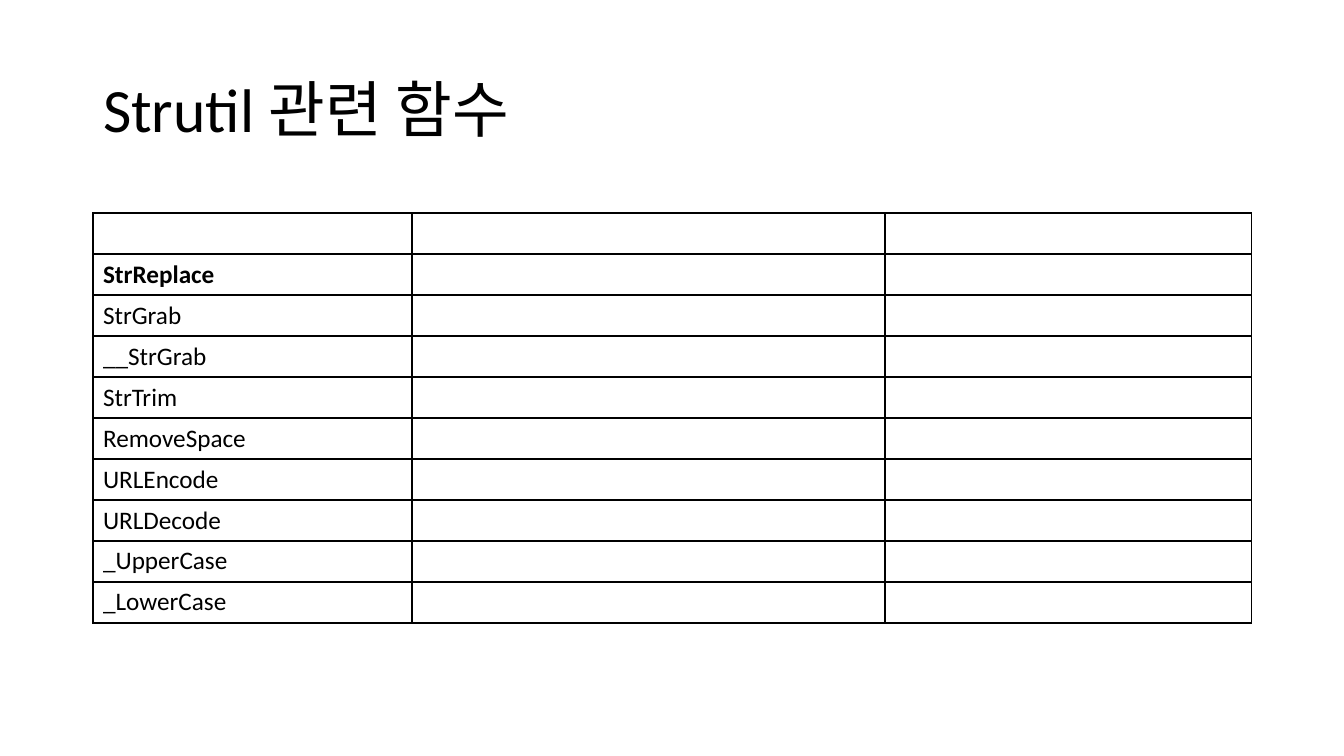
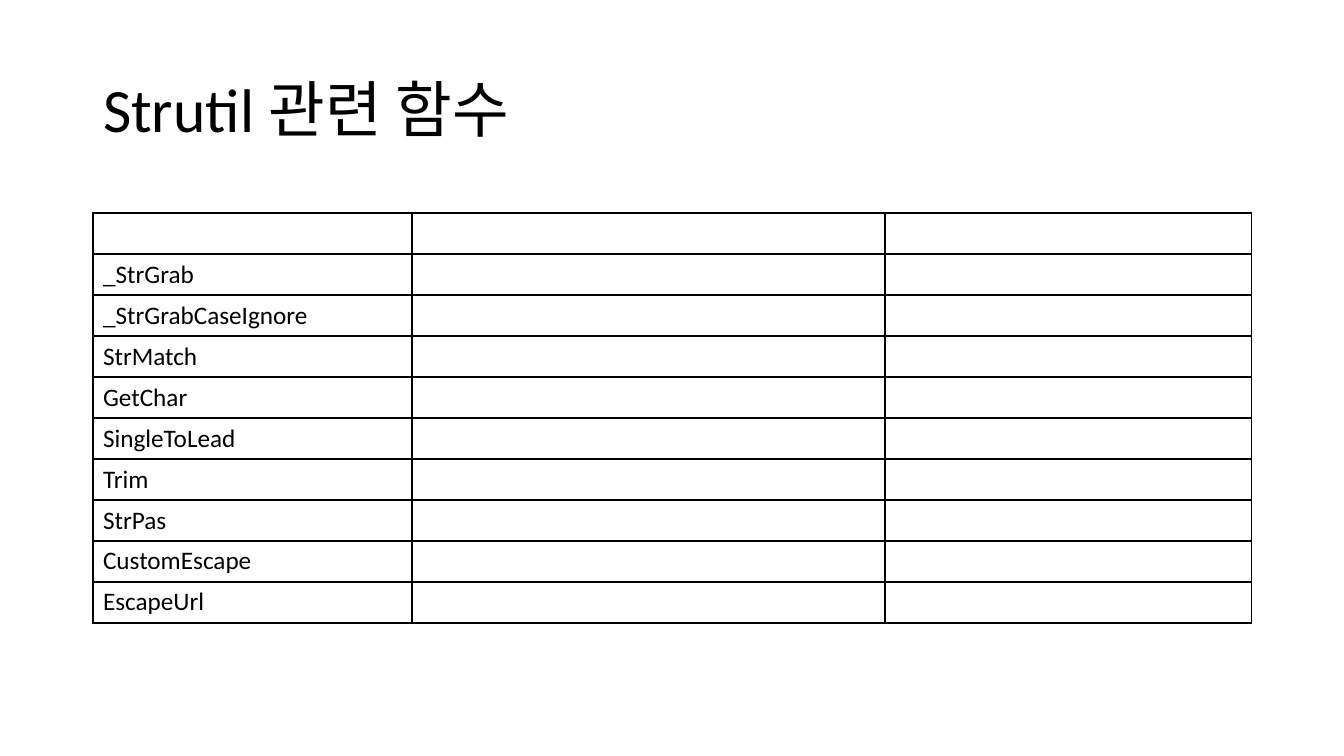
from lxml.etree import SubElement
from pptx import Presentation
from pptx.dml.color import RGBColor
from pptx.enum.text import MSO_ANCHOR, MSO_AUTO_SIZE, PP_ALIGN
from pptx.oxml.ns import qn
from pptx.util import Pt

SCALE = 914400 / 100.8
COLOR = {"text": "000000", "line": "000000"}
FONT = "Calibri"
TITLE = "Strutil 관련 함수"
COLS = (319, 473, 367)
ROW = 41
BOLD = {"StrReplace"}
PAGES = (
    ("StrReplace", "StrGrab", "__StrGrab", "StrTrim", "RemoveSpace",
     "URLEncode", "URLDecode", "_UpperCase", "_LowerCase"),
    ("_StrGrab", "_StrGrabCaseIgnore", "StrMatch", "GetChar", "SingleToLead",
     "Trim", "StrPas", "CustomEscape", "EscapeUrl"),
)


def px(size):
    """Turn pixels into EMU."""
    return round(size * SCALE)


class Deck:
    """Holds the shared style and the current slide."""

    def __init__(self):
        """Start an empty wide deck."""
        self.file = Presentation()
        self.file.slide_width = px(1344)
        self.file.slide_height = px(756)
        self.slide = None

    def page(self):
        """Add a title-only slide."""
        self.slide = self.file.slides.add_slide(self.file.slide_layouts[5])

    def style(self, par, size, bold=False):
        """Format the runs of a paragraph."""
        for run in par.runs:
            run.font.name = FONT
            run.font.size = Pt(size)
            run.font.bold = bold
            run.font.color.rgb = RGBColor.from_string(COLOR["text"])

    def title(self, text):
        """Fill and place the title."""
        shape = self.slide.shapes.title
        shape.left, shape.top = px(93), px(40)
        shape.width, shape.height = px(1159), px(146)
        frame = shape.text_frame
        frame.text = text
        frame.auto_size = MSO_AUTO_SIZE.NONE
        frame.vertical_anchor = MSO_ANCHOR.MIDDLE
        par = frame.paragraphs[0]
        par.alignment = PP_ALIGN.LEFT
        par.line_spacing = 0.9
        self.style(par, 44)

    def border(self, cell):
        """Draw thin lines round a cell."""
        props = cell._tc.get_or_add_tcPr()
        for side in ("lnL", "lnR", "lnT", "lnB"):
            line = SubElement(props, qn(f"a:{side}"), w=str(Pt(1)))
            fill = SubElement(line, qn("a:solidFill"))
            SubElement(fill, qn("a:srgbClr"), val=COLOR["line"])

    def table(self, names):
        """Add a grid with a blank head row and names in the first column."""
        count = len(names) + 1
        grid = self.slide.shapes.add_table(
            count, len(COLS), px(93), px(213), px(sum(COLS)), px(ROW * count)
        ).table
        grid.first_row = grid.horz_banding = False
        for col, width in zip(grid.columns, COLS):
            col.width = px(width)
        for row in grid.rows:
            row.height = px(ROW)
        for cell in grid.iter_cells():
            self.border(cell)
            cell.fill.background()
        for row, name in enumerate(names, 1):
            frame = grid.cell(row, 0).text_frame
            frame.text = name
            self.style(frame.paragraphs[0], 18, name in BOLD)


deck = Deck()
for names in PAGES:
    deck.page()
    deck.title(TITLE)
    deck.table(names)
deck.file.save("out.pptx")
